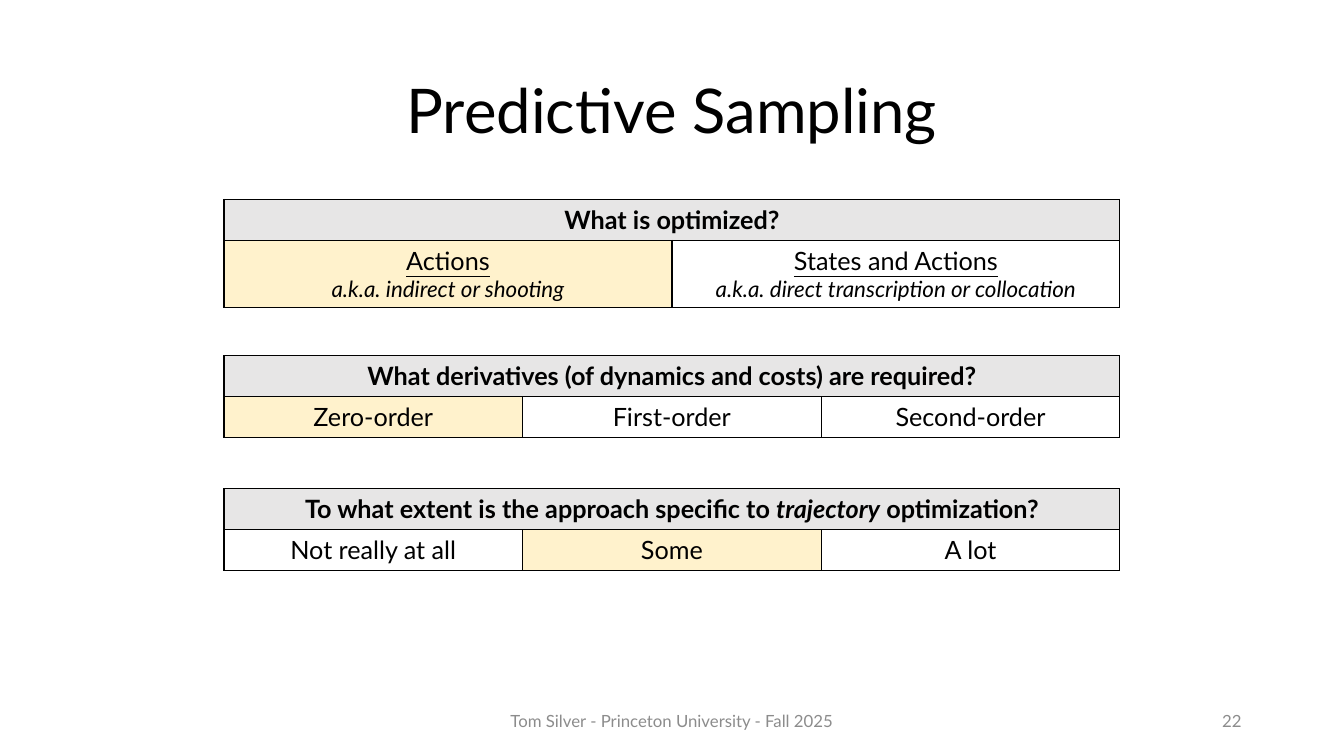
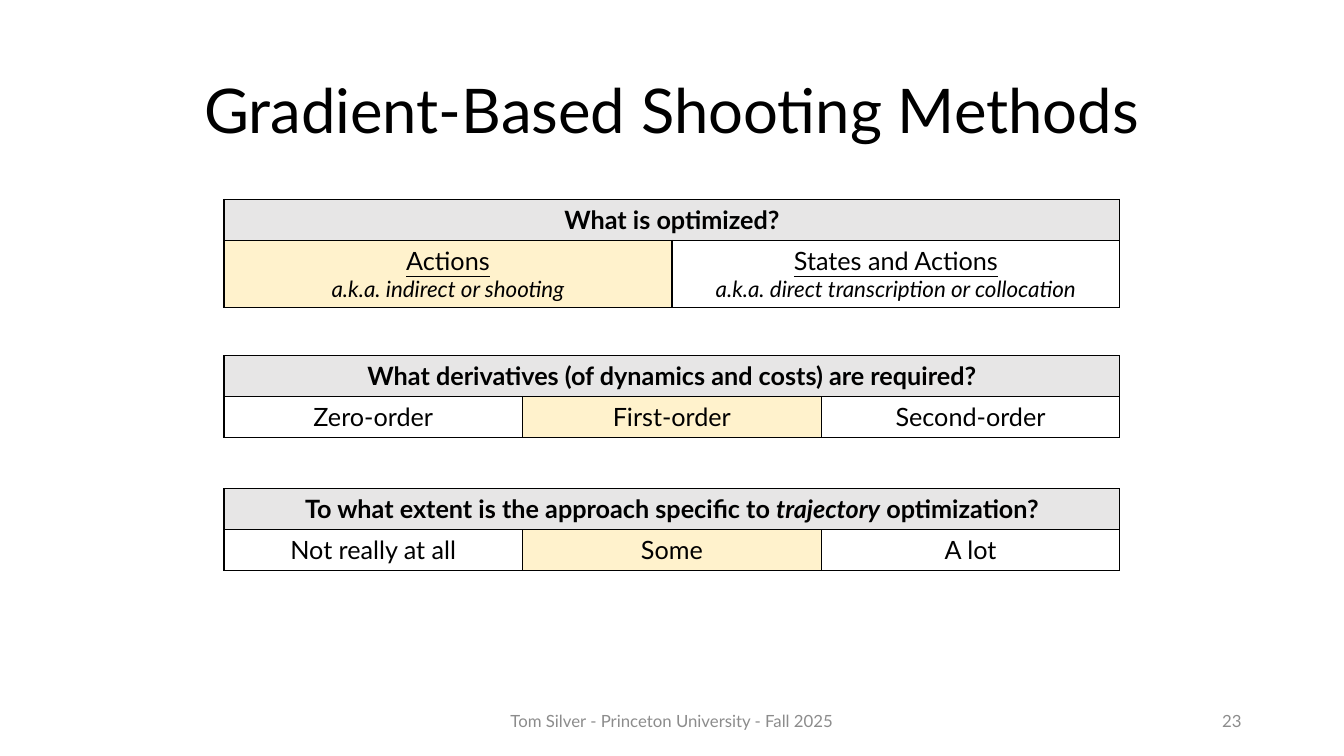
from lxml import etree
from pptx import Presentation
from pptx.dml.color import RGBColor
from pptx.enum.text import MSO_ANCHOR, MSO_AUTO_SIZE, PP_ALIGN
from pptx.oxml.ns import qn
from pptx.util import Pt

FONT = "Lato"
BLACK, WHITE = "000000", "FFFFFF"
FOOTER_GREY, HEADER_GREY, HIGHLIGHT = "8C8C8C", "E7E6E6", "FFF2CC"

TITLE_BOX = (66, 28.75, 828, 104.4)
FOOTER_BOX = (318, 500.5, 324, 28.75)
NUMBER_BOX = (678, 500.5, 216, 28.75)
TABLE_LEFT, TABLE_WIDTH = 160, 640
ROW_HEIGHT, TWO_LINE_HEIGHT = 29.2, 47.8

PLAIN = {"size": Pt(18), "bold": False}
HEADING = {"size": Pt(18), "bold": True}
HEADING_ITALIC = {**HEADING, "italic": True}
TERM = {**PLAIN, "underline": True}
ALIAS = {"size": Pt(16), "bold": False, "italic": True}

# Each question: top, heading runs, answers as lists of lines, answer row height.
QUESTIONS = [
    (142.5, [("What is optimized?", HEADING)],
     [[("Actions", TERM), ("a.k.a. indirect or shooting", ALIAS)],
      [("States and Actions", TERM),
       ("a.k.a. direct transcription or collocation", ALIAS)]],
     TWO_LINE_HEIGHT),
    (254.2, [("What derivatives (of dynamics and costs) are required?", HEADING)],
     [[(order, PLAIN)] for order in ("Zero-order", "First-order", "Second-order")],
     ROW_HEIGHT),
    (349.2, [("To what extent is the approach specific to ", HEADING),
             ("trajectory", HEADING_ITALIC), (" optimization?", HEADING)],
     [[(extent, PLAIN)] for extent in ("Not really at all", "Some", "A lot")],
     ROW_HEIGHT),
]

# Title, slide number, and the highlighted answer to each question.
METHODS = [
    ("Predictive Sampling", 22, (0, 0, 1)),
    ("Gradient-Based Shooting Methods", 23, (0, 1, 1)),
]


def rgb(value):
    return RGBColor.from_string(value)


def write_runs(paragraph, runs, color=BLACK, align=PP_ALIGN.CENTER):
    paragraph.alignment = align
    for text, style in runs:
        run = paragraph.add_run()
        run.text = text
        run.font.name = FONT
        run.font.color.rgb = rgb(color)
        for attribute, value in style.items():
            setattr(run.font, attribute, value)


def add_title(slide, box, text):
    title = slide.shapes.title
    title.left, title.top, title.width, title.height = map(Pt, box)
    frame = title.text_frame
    frame.auto_size = MSO_AUTO_SIZE.NONE
    frame.vertical_anchor = MSO_ANCHOR.MIDDLE
    frame.paragraphs[0].line_spacing = 0.9
    write_runs(frame.paragraphs[0], [(text, {"size": Pt(44)})])


def add_footer_text(slide, box, text, align):
    frame = slide.shapes.add_textbox(*map(Pt, box)).text_frame
    frame.word_wrap = True
    frame.vertical_anchor = MSO_ANCHOR.MIDDLE
    write_runs(frame.paragraphs[0], [(text, {"size": Pt(12)})], FOOTER_GREY, align)


def format_cell(cell, fill):
    cell.fill.solid()
    cell.fill.fore_color.rgb = rgb(fill)
    properties = cell._tc.get_or_add_tcPr()
    for position, side in enumerate(("lnL", "lnR", "lnT", "lnB")):
        border = etree.Element(qn(f"a:{side}"), w=str(Pt(1)))
        solid = etree.SubElement(border, qn("a:solidFill"))
        etree.SubElement(solid, qn("a:srgbClr"), val=BLACK)
        properties.insert(position, border)


def add_question(slide, box, heading, answers, chosen):
    """Draw a heading row above a row of equal answers, one highlighted."""
    height = box[3]
    table = slide.shapes.add_table(2, len(answers), *map(Pt, box)).table
    table.first_row = table.horz_banding = False
    table.rows[0].height = Pt(ROW_HEIGHT)
    table.rows[1].height = Pt(height - ROW_HEIGHT)

    for column, lines in enumerate(answers):
        format_cell(table.cell(0, column), HEADER_GREY)
        answer = table.cell(1, column)
        format_cell(answer, HIGHLIGHT if column == chosen else WHITE)
        frame = answer.text_frame
        for index, line in enumerate(lines):
            paragraph = frame.add_paragraph() if index else frame.paragraphs[0]
            write_runs(paragraph, [line])

    header = table.cell(0, 0)
    header.merge(table.cell(0, len(answers) - 1))
    write_runs(header.text_frame.paragraphs[0], heading)


def add_method_slide(deck, title, number, choices):
    slide = deck.slides.add_slide(deck.slide_layouts[5])
    add_title(slide, TITLE_BOX, title)
    add_footer_text(slide, FOOTER_BOX,
                    "Tom Silver - Princeton University - Fall 2025", PP_ALIGN.CENTER)
    add_footer_text(slide, NUMBER_BOX, str(number), PP_ALIGN.RIGHT)
    for (top, heading, answers, answer_height), chosen in zip(QUESTIONS, choices):
        box = (TABLE_LEFT, top, TABLE_WIDTH, ROW_HEIGHT + answer_height)
        add_question(slide, box, heading, answers, chosen)


def main():
    deck = Presentation()
    deck.slide_width, deck.slide_height = Pt(960), Pt(540)
    for method in METHODS:
        add_method_slide(deck, *method)
    deck.save("out.pptx")


if __name__ == "__main__":
    main()
